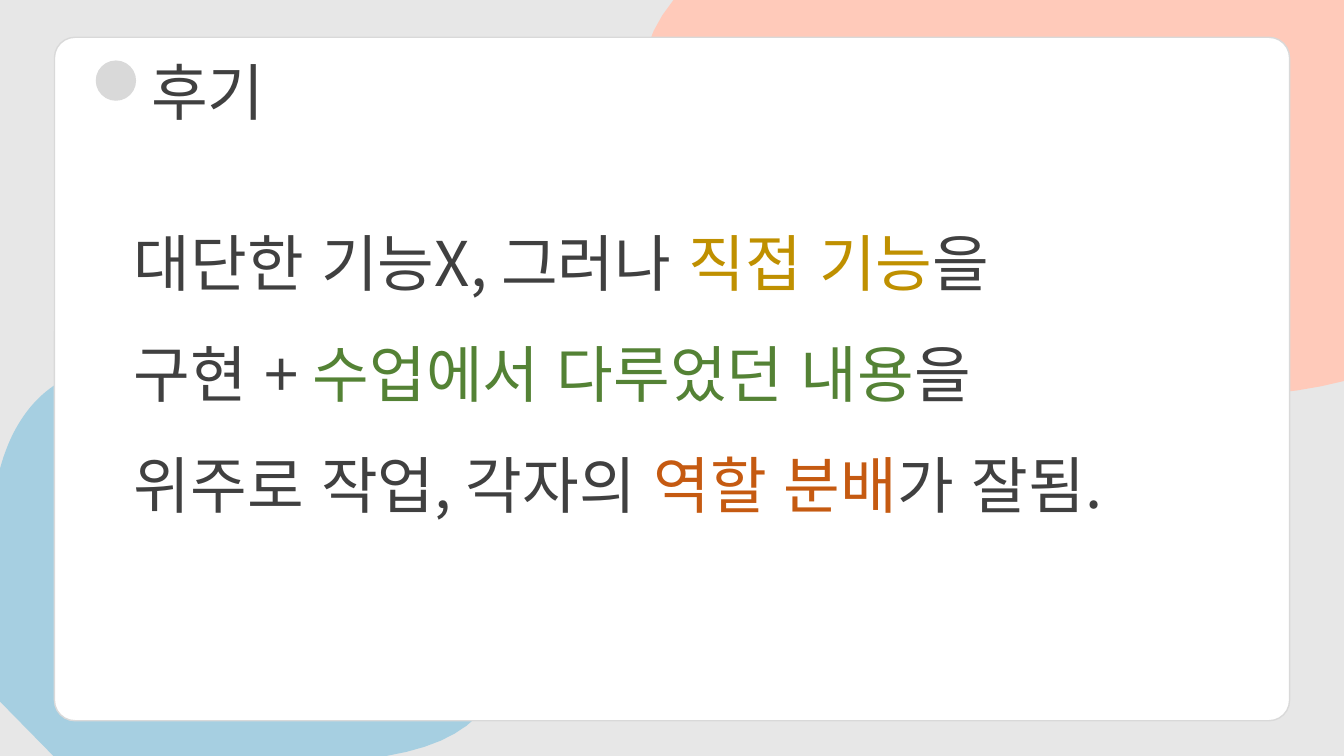
"""Build the closing review slide with its rounded card and soft colour blobs."""
from lxml import etree
from pptx import Presentation
from pptx.dml.color import RGBColor
from pptx.enum.lang import MSO_LANGUAGE_ID
from pptx.enum.shapes import MSO_SHAPE
from pptx.enum.text import MSO_AUTO_SIZE
from pptx.oxml.ns import qn
from pptx.util import Inches, Pt

ROUNDED = MSO_SHAPE.ROUNDED_RECTANGLE
OVAL = MSO_SHAPE.OVAL
GROW = MSO_AUTO_SIZE.SHAPE_TO_FIT_TEXT
KOREAN = MSO_LANGUAGE_ID.KOREAN

THEME = {
    "font": "Noto Sans CJK KR", "size": 44, "spacing": 1.5,
    "page": "E7E7E7", "card": "FFFFFF", "edge": "D9D9D9",
    "blue": "A6CFE1", "coral": "FFCABA", "text": "404040",
    "gold": "BF9000", "green": "548235", "orange": "C55A11",
}
BLOBS = [
    ("blue", (1.37, 3.61), [
        [(3.44, 3.67), (6.68, 7.03), (3.83, 7.5)],
        [(0.53, 7.5)], [(0, 6.96)], [(0, 4.65)],
        [(0.21, 3.88), (0.73, 3.59), (1.37, 3.61)],
    ]),
    ("coral", (13.33, 0), [
        [(13.33, 3.78)],
        [(10.32, 4.57), (5.04, 2), (6.68, 0)],
    ]),
]
CARD = (0.54, 0.37, 12.25, 6.78)
BULLET = (0.95, 0.6, 0.4, 0.4)
TEXTS = [
    ((1.4, 0.12, 9.89, 1.08), [("후기", "text")]),
    ((1.23, 1.82, 9.89, 3.3), [
        ("대단한 기능X, 그러나 ", "text"), ("직접 기능", "gold"),
        ("을 구현 + ", "text"), ("수업에서 다루었던 내용", "green"),
        ("을 위주로 작업, 각자의 ", "text"), ("역할 분배", "orange"),
        ("가 잘됨.", "text"),
    ]),
]
CURVE_STEPS = 40


def colour(name):
    return RGBColor.from_string(THEME[name])


def place(bounds):
    return [Inches(length) for length in bounds]


def paint(shape, fill, edge=None):
    shape.shadow.inherit = False
    shape.fill.solid()
    shape.fill.fore_color.rgb = colour(fill)
    if edge:
        shape.line.color.rgb = colour(edge)
        shape.line.width = Pt(1)
    else:
        shape.line.fill.background()


def curve_points(start, first, second, end):
    for step in range(1, CURVE_STEPS + 1):
        t = step / CURVE_STEPS
        weights = ((1 - t) ** 3, 3 * t * (1 - t) ** 2, 3 * t * t * (1 - t), t ** 3)
        corners = (start, first, second, end)
        yield tuple(sum(w * c[axis] for w, c in zip(weights, corners)) for axis in (0, 1))


def add_blob(page, fill, start, segments):
    points, here = [], start
    for segment in segments:
        points += curve_points(here, *segment) if len(segment) == 3 else segment
        here = segment[-1]
    builder = page.shapes.build_freeform(*place(start), scale=1.0)
    builder.add_line_segments([place(point) for point in points], close=True)
    paint(builder.convert_to_shape(), fill)


def add_text(page, bounds, spans):
    frame = page.shapes.add_textbox(*place(bounds)).text_frame
    frame.word_wrap = True
    frame.auto_size = GROW
    para = frame.paragraphs[0]
    para.line_spacing = THEME["spacing"]
    for text, name in spans:
        span = para.add_run()
        span.text = text
        span.font.size = Pt(THEME["size"])
        span.font.color.rgb = colour(name)
        span.font.name = THEME["font"]
        span.font.language_id = KOREAN
        etree.SubElement(span.font._element, qn("a:ea"), typeface=THEME["font"])


def main():
    deck = Presentation()
    deck.slide_width, deck.slide_height = place((13.33, 7.5))
    page = deck.slides.add_slide(deck.slide_layouts[6])
    page.background.fill.solid()
    page.background.fill.fore_color.rgb = colour("page")
    for blob in BLOBS:
        add_blob(page, *blob)
    card = page.shapes.add_shape(ROUNDED, *place(CARD))
    card.adjustments[0] = 0.03
    paint(card, "card", "edge")
    title, review = TEXTS
    add_text(page, *title)
    paint(page.shapes.add_shape(OVAL, *place(BULLET)), "edge")
    add_text(page, *review)
    deck.save("out.pptx")


if __name__ == "__main__":
    main()
